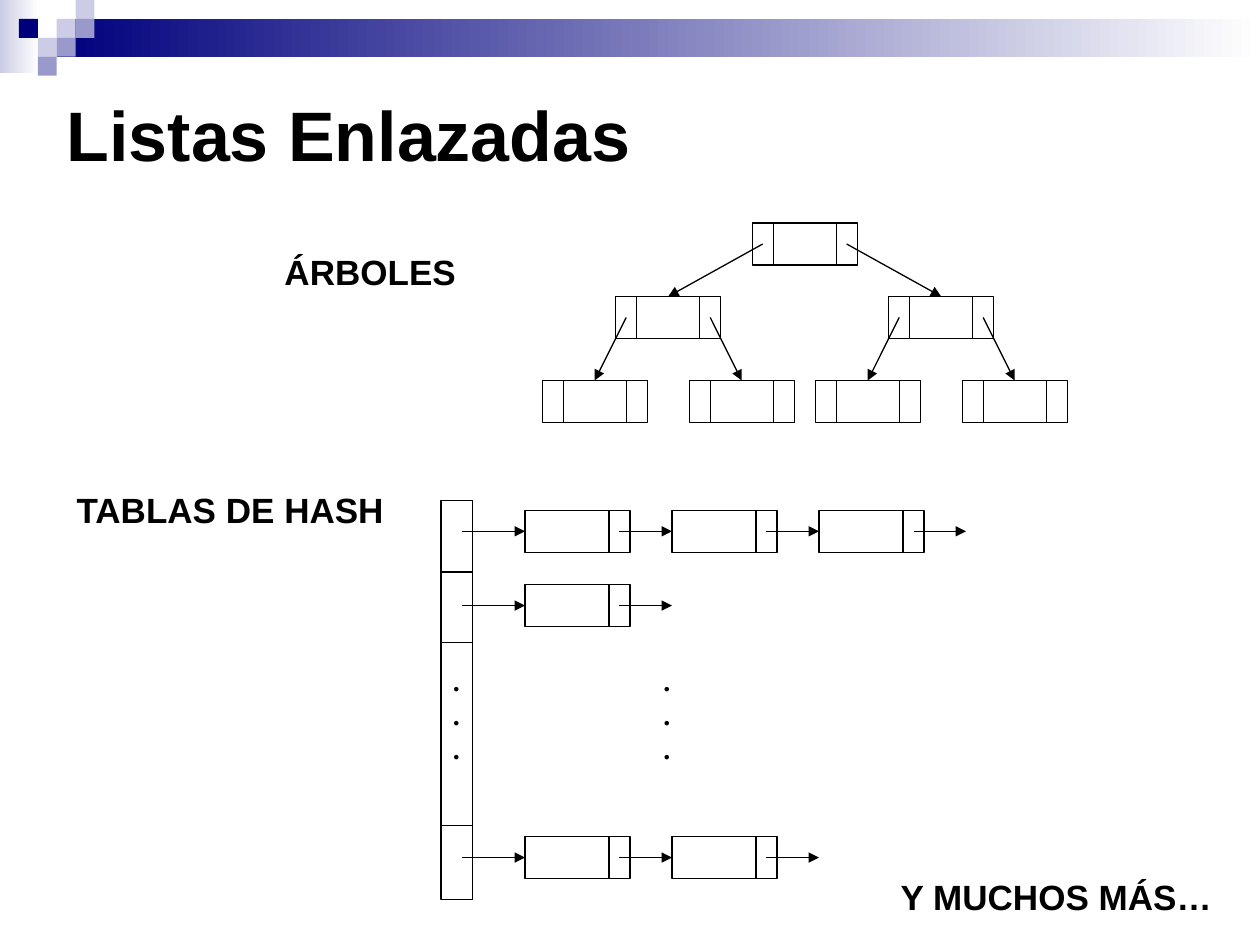
from lxml import etree
from pptx import Presentation
from pptx.dml.color import RGBColor
from pptx.enum.shapes import MSO_CONNECTOR as CONN, MSO_SHAPE as SHAPE
from pptx.enum.text import MSO_ANCHOR as ANCHOR, MSO_AUTO_SIZE as AUTO, PP_ALIGN as ALIGN
from pptx.oxml.ns import qn
from pptx.util import Inches, Pt

BLACK = RGBColor(0x00, 0x00, 0x00)
WHITE = RGBColor(0xFF, 0xFF, 0xFF)
NAVY = RGBColor(0x00, 0x00, 0x7D)
LILAC = RGBColor(0xCC, 0xCC, 0xE6)
VIOLET = RGBColor(0x99, 0x99, 0xCC)

prs = Presentation()
prs.slide_width, prs.slide_height = Inches(10), Inches(7.5)
s = prs.slides.add_slide(prs.slide_layouts[5])
shapes = s.shapes
U = 1 / 12
NODE_W, NODE_H = 10 * U, 4 * U


def box(x, y, w, h, fill=None):
    sp = shapes.add_shape(SHAPE.RECTANGLE, Inches(x), Inches(y), Inches(w), Inches(h))
    sp.shadow.inherit = False
    if fill:
        sp.fill.solid()
        sp.fill.fore_color.rgb = fill
        sp.line.fill.background()
    else:
        sp.fill.background()
        sp.line.color.rgb = BLACK
        sp.line.width = Pt(0.75)
    return sp


def line(x1, y1, x2, y2, arrow=False, target=None, site=0):
    c = shapes.add_connector(CONN.STRAIGHT, Inches(x1), Inches(y1), Inches(x2), Inches(y2))
    c.line.color.rgb = BLACK
    c.line.width = Pt(0.75)
    if arrow:
        etree.SubElement(c.line._get_or_add_ln(), qn("a:tailEnd"), type="triangle")
    etree.SubElement(c._element.spPr, qn("a:effectLst"))
    if target:
        c.end_connect(target, site)


for x, y, w, h, start in [(0, 0, 0.31, 0.58, LILAC), (0.45, 0.15, 9.55, 0.3, NAVY)]:
    sp = box(x, y, w, h, start)
    sp.fill.gradient()
    sp.fill.gradient_angle = 0
    for stop, color in zip(sp.fill.gradient_stops, (start, WHITE)):
        stop.color.rgb = color

Q = 0.15
for col, row, color in [(3, 1, LILAC), (4, 0, LILAC), (4, 1, VIOLET), (2, 2, LILAC),
                        (1, 1, NAVY), (3, 2, VIOLET), (2, 3, VIOLET)]:
    box(col * Q, row * Q, Q, Q, color)

title = shapes.title
title.left, title.top, title.width, title.height = map(Inches, (0.43, 0.68, 9, 1.5))
tf = title.text_frame
tf.text = "Listas Enlazadas"
tf.auto_size = AUTO.NONE
tf.vertical_anchor = ANCHOR.TOP
p = tf.paragraphs[0]
p.alignment = ALIGN.LEFT
p.font.name, p.font.size, p.font.bold = "Arial", Pt(40), True
p.font.color.rgb = BLACK

for text, x, y, w, h, font, size in [
    ("ÁRBOLES", 2.16, 1.94, 1.73, 0.43, "Arial", 20),
    ("TABLAS DE HASH", 0.51, 3.83, 2.75, 0.43, "Arial", 20),
    ("Y MUCHOS MÁS…", 7.05, 6.9, 2.75, 0.43, "Arial", 20),
    ("...", 3.5, 5.22, 0.25, 0.9, "Times New Roman", 16),
    ("...", 5.17, 5.22, 0.25, 0.9, "Times New Roman", 16),
]:
    tf = shapes.add_textbox(Inches(x), Inches(y), Inches(w), Inches(h)).text_frame
    tf.word_wrap = True
    if text == "...":
        tf.margin_left = tf.margin_right = Inches((w - 0.06) / 2)
    tf.text = text
    p = tf.paragraphs[0]
    p.font.name, p.font.size, p.font.bold = font, Pt(size), True
    p.font.color.rgb = BLACK

ROOT_X, ROOT_Y = 5.97, 1.77
LEVEL_Y = [ROOT_Y, ROOT_Y + 7 * U, ROOT_Y + 15 * U]
SPREAD = [13 * U, 7 * U]
parents = [(ROOT_X, None, 0)]
for level, y in enumerate(LEVEL_Y):
    children = []
    for x, start_x, start_y in parents:
        node = box(x, y, NODE_W, NODE_H)
        for edge in (2, 8):
            line(x + edge * U, y, x + edge * U, y + NODE_H)
        if start_x:
            line(start_x, start_y, x + NODE_W / 2, y, True, node, 0)
        if level < len(SPREAD):
            children += [(x - SPREAD[level], x + U, y + NODE_H / 2),
                         (x + SPREAD[level], x + 9 * U, y + NODE_H / 2)]
    parents = children

TABLE_X, TABLE_W = 3.5, 3 * U
box(TABLE_X, 3.97, TABLE_W, 3.17)
for y in (4.54, 5.1, 6.55):
    line(TABLE_X, y, TABLE_X + TABLE_W, y)

for y, count in [(4.05, 3), (4.64, 1), (6.64, 2)]:
    mid = y + NODE_H / 2
    start = TABLE_X + 2 * U
    for i in range(count):
        x = TABLE_X + (8 + 14 * i) * U
        node = box(x, y, NODE_W, NODE_H)
        line(x + 8 * U, y, x + 8 * U, y + NODE_H)
        line(start, mid, x, mid, True, node, 1)
        start = x + 9 * U
    line(start, mid, start + 5 * U, mid, True)

prs.save("out.pptx")
